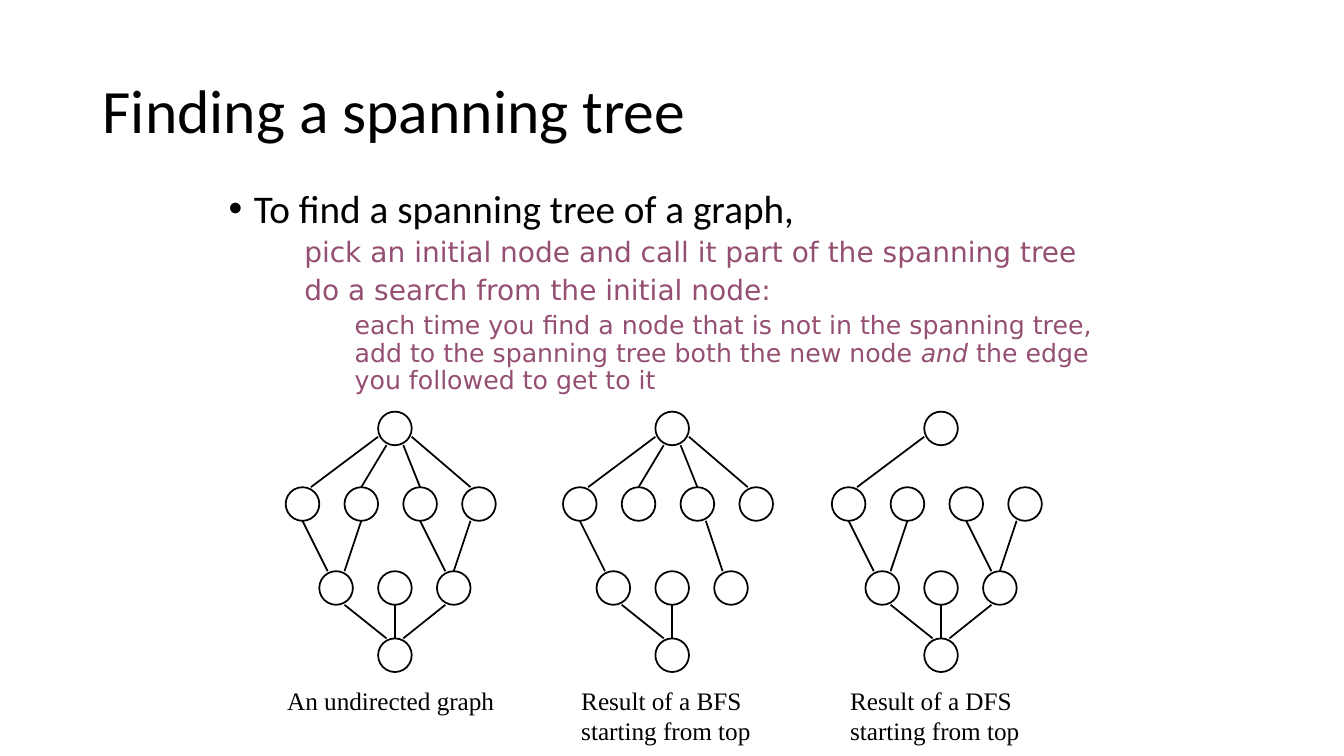
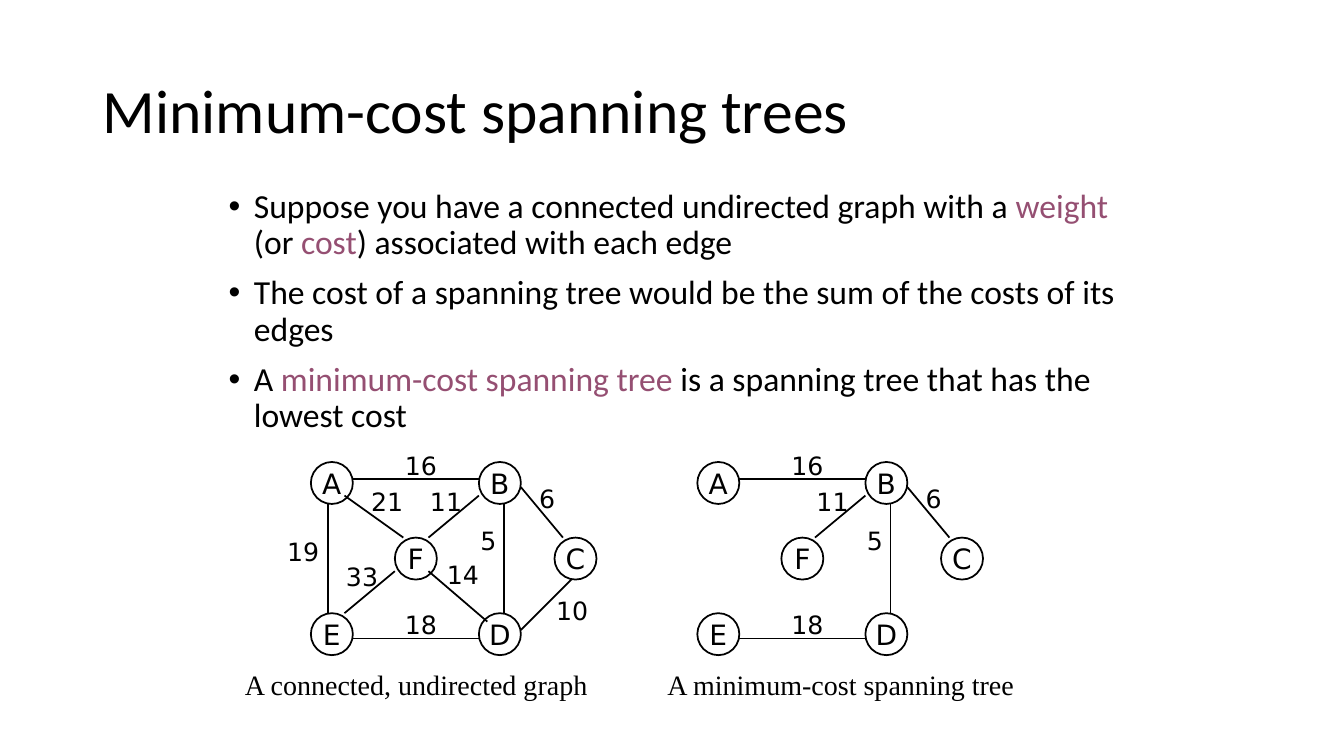
from lxml import etree
from pptx import Presentation
from pptx.dml.color import RGBColor
from pptx.enum.shapes import MSO_CONNECTOR, MSO_SHAPE
from pptx.enum.text import MSO_ANCHOR, PP_ALIGN
from pptx.oxml.ns import qn
from pptx.util import Inches, Pt

OVAL = MSO_SHAPE.OVAL
LINE = MSO_CONNECTOR.STRAIGHT
MIDDLE = MSO_ANCHOR.MIDDLE
CENTER = PP_ALIGN.CENTER

BLACK, PLUM = "000000", "954F72"
SANS, PLAIN, SERIF = "Calibri", "DejaVu Sans", "Times New Roman"


def rgb(code):
    return RGBColor.from_string(code)


def unit(count):
    """Graphs lie on a grid of twelfths of an inch."""
    return Inches(count / 12)


class Deck:
    # Text formats: font, size, colour
    head = dict(name=SANS, size=Pt(44), color=BLACK)
    point = dict(name=SANS, size=Pt(28), color=BLACK)
    fact = dict(point, size=Pt(24))
    step = dict(name=PLAIN, size=Pt(20), color=PLUM)
    sub = dict(step, size=Pt(18))
    mark = dict(step, color=BLACK)
    cost = dict(mark, size=Pt(18))
    note = dict(name=SERIF, size=Pt(18), color=BLACK)
    legend = dict(note, size=Pt(20))
    # Paragraph formats
    tight = dict(line_spacing=0.9)
    wide = dict(tight, space_before=Pt(10))
    near = dict(tight, space_before=Pt(5))

    def __init__(self):
        self.file = Presentation()
        self.file.slide_width = Inches(13.33)
        self.file.slide_height = Inches(7.5)

    def slide(self, title):
        page = self.file.slides.add_slide(self.file.slide_layouts[6])
        self.page = self.area = page.shapes
        frame = self.text(Inches(0.92), Inches(0.4), Inches(11.5),
                          Inches(1.45), title, self.head, self.tight)
        frame.vertical_anchor = MIDDLE

    def group(self):
        self.area = self.page.add_group_shape().shapes

    def fill_para(self, para, runs, form, layout):
        for key, value in layout.items():
            setattr(para, key, value)
        for words, extra in runs:
            for num, part in enumerate(words.split("\n")):
                if num:
                    para.add_line_break()
                run = para.add_run()
                run.text = part
                for key, value in {**form, **extra}.items():
                    if key == "color":
                        run.font.color.rgb = rgb(value)
                    else:
                        setattr(run.font, key, value)

    def text(self, left, top, width, height, words, form, layout):
        frame = self.area.add_textbox(left, top, width, height).text_frame
        frame.word_wrap = True
        if words:
            self.fill_para(frame.paragraphs[0], [(words, {})], form, layout)
        return frame

    def body(self, items):
        """Each item holds its indent, bullet, format, layout and runs."""
        frame = self.text(Inches(2.17), Inches(1.83), Inches(9),
                          Inches(2.6), "", self.point, {})
        for num, (margin, bullet, form, layout, runs) in enumerate(items):
            para = frame.add_paragraph() if num else frame.paragraphs[0]
            self.fill_para(para, runs, form, layout)
            props = para._p.get_or_add_pPr()
            props.set("marL", str(Inches(margin)))
            props.set("indent", str(Inches(-0.25) if bullet else 0))
            if bullet:
                font = etree.SubElement(props, qn("a:buFont"))
                font.set("typeface", "Arial")
                etree.SubElement(props, qn("a:buChar")).set("char", bullet)
            else:
                etree.SubElement(props, qn("a:buNone"))

    def stroke(self, line):
        line.color.rgb = rgb(BLACK)
        line.width = Pt(1.25)

    def node(self, left, top, size, name=""):
        oval = self.area.add_shape(OVAL, unit(left), unit(top),
                                   unit(size), unit(size))
        oval.shadow.inherit = False
        oval.fill.background()
        self.stroke(oval.line)
        if name:
            frame = oval.text_frame
            frame.word_wrap = False
            frame.vertical_anchor = MIDDLE
            for side in ("left", "right", "top", "bottom"):
                setattr(frame, "margin_" + side, 0)
            self.fill_para(frame.paragraphs[0], [(name, {})], self.mark,
                           dict(alignment=CENTER))

    def edge(self, left, start, end):
        (x1, y1), (x2, y2) = start, end
        link = self.area.add_connector(LINE, unit(left + x1), unit(y1),
                                       unit(left + x2), unit(y2))
        self.stroke(link.line)
        etree.SubElement(link._element.spPr, qn("a:effectLst"))


deck = Deck()

# Slide 1: search trees
deck.slide("Finding a spanning tree")
deck.body([
    (0.25, "•", deck.point, deck.wide,
     [("To find a spanning tree of a graph,", {})]),
    (0.75, "", deck.step, deck.near,
     [("pick an initial node and call it part of the spanning tree", {})]),
    (0.75, "", deck.step, deck.near,
     [("do a search from the initial node:", {})]),
    (1.25, "", deck.sub, deck.near,
     [("each time you find a node that is not in the spanning tree, "
       "add to the spanning tree both the new node ", {}),
      ("and", dict(italic=True)),
      (" the edge you followed to get to it", {})]),
])

# Rows of nodes: top, and the left of each node
ROWS = {49: [11], 58: [0, 7, 14, 21], 68: [4, 11, 18], 76: [11]}
LINKS = {
    "a": ((11, 52), (3, 58)), "b": ((9, 58), (12, 53)),
    "c": ((16, 58), (14, 53)), "d": ((22, 58), (15, 52)),
    "e": ((5, 68), (2, 62)), "f": ((22, 62), (20, 68)),
    "g": ((9, 62), (7, 68)), "h": ((16, 62), (19, 68)),
    "i": ((19, 72), (14, 76)), "j": ((7, 72), (12, 76)),
    "k": ((13, 72), (13, 76)), "m": ((17, 62), (19, 68)),
}
# Left of graph, edges kept, left and width of caption, caption
TREES = [
    (34, "abcdefghijk", 33, 30, "An undirected graph"),
    (67, "abcdemjk", 68, 24, "Result of a BFS\nstarting from top"),
    (99, "aefghijk", 100, 24, "Result of a DFS\nstarting from top"),
]
for left, kept, start, width, words in TREES:
    deck.group()
    for top, row in ROWS.items():
        for x in row:
            deck.node(left + x, top, 4)
    for key in kept:
        deck.edge(left, *LINKS[key])
    deck.text(unit(start), unit(81), unit(width), Inches(0.7),
              words, deck.note, {})

# Slide 2: weighted graphs
deck.slide("Minimum-cost spanning trees")
TINT = dict(color=PLUM)
FACTS = [
    [("Suppose you have a connected undirected graph with a ", {}),
     ("weight ", TINT), ("(or ", {}), ("cost", TINT),
     (") associated with each edge", {})],
    [("The cost of a spanning tree would be the sum of the costs "
      "of its edges", {})],
    [("A ", {}), ("minimum-cost spanning tree", TINT),
     (" is a spanning tree that has the lowest cost", {})],
]
deck.body([(0.25, "•", deck.fact, deck.wide, runs) for runs in FACTS])

NODES = {"A": (0, 55), "B": (20, 55), "E": (0, 73),
         "D": (20, 73), "F": (10, 64), "C": (29, 64)}
# Start, end, cost, place of the cost
COSTS = {
    "AE": ((2, 60), (2, 73), 19, (-4, 63.25)),
    "AB": ((5, 57), (20, 57), 16, (10, 53)),
    "BD": ((23, 60), (23, 73), 5, (19, 62)),
    "ED": ((5, 76), (20, 76), 18, (10, 72)),
    "EF": ((4, 73), (10, 68), 33, (3, 66.25)),
    "DF": ((21, 74), (14, 68), 14, (15, 66)),
    "AF": ((4, 59), (11, 64), 21, (6, 57.25)),
    "BF": ((20, 59), (14, 64), 11, (13, 57.25)),
    "DC": ((25, 75), (31, 69), 10, (28, 70.25)),
    "BC": ((25, 58), (30, 64), 6, (26, 57)),
}
# Left of graph, edges kept, left of caption, caption
GRAPHS = [
    (37, list(COSTS), 2.33, "A connected, undirected graph"),
    (83, ["AB", "BD", "ED", "BF", "BC"], 6.52,
     "A minimum-cost spanning tree"),
]
for left, kept, start, words in GRAPHS:
    deck.group()
    for name, (x, y) in NODES.items():
        deck.node(left + x, y, 5, name)
    for key in kept:
        begin, end, cost, (x, y) = COSTS[key]
        deck.edge(left, begin, end)
        deck.text(unit(left + x), unit(y), unit(7), Inches(0.44),
                  str(cost), deck.cost, {})
    deck.text(Inches(start), Inches(6.57), Inches(3.75), Inches(0.43),
              words, deck.legend, {})

deck.file.save("out.pptx")
